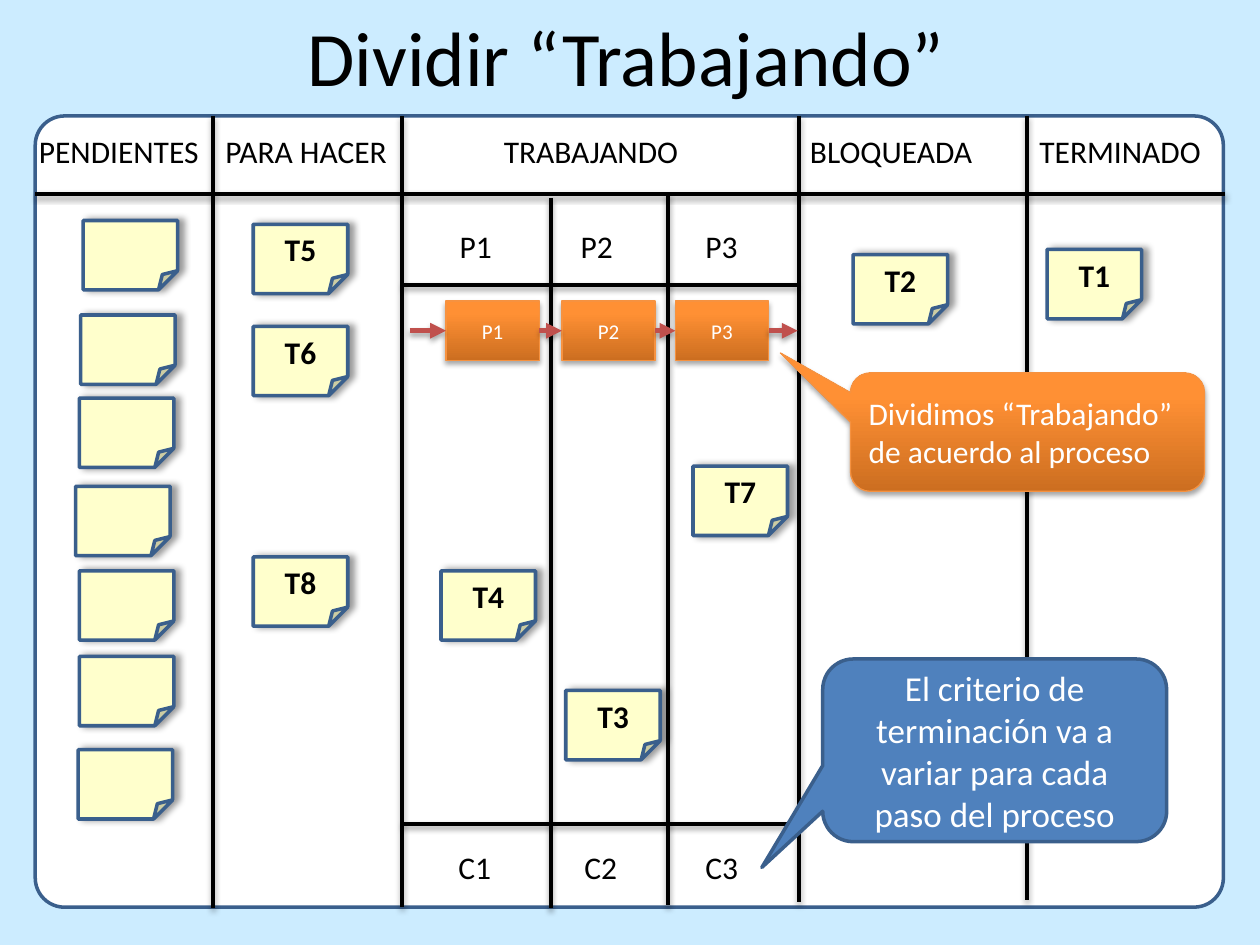
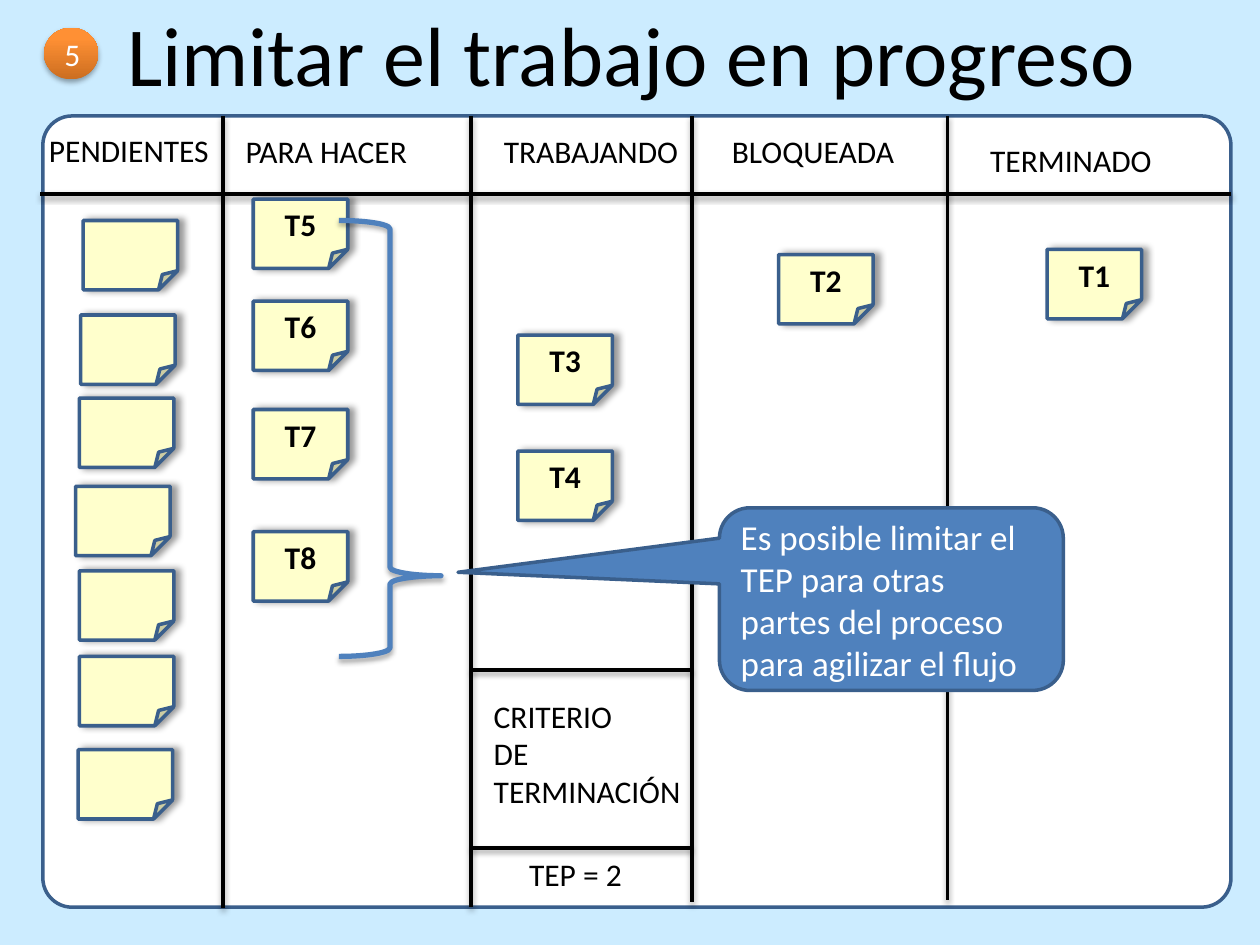
from copy import deepcopy
from dataclasses import dataclass, field
from typing import Any, Optional

from lxml import etree
from pptx import Presentation, util as u
from pptx.dml.color import RGBColor
from pptx.enum import shapes, text
from pptx.oxml.ns import qn

# Every position and length counts cells of this grid, which covers the slide.
COLS, ROWS = 100, 75
SLIDE_W, SLIDE_H = u.Inches(10), u.Inches(7.5)
SHAPE = shapes.MSO_SHAPE
LEFT, CENTER = text.PP_ALIGN.LEFT, text.PP_ALIGN.CENTER


@dataclass(frozen=True)
class Shadow:
    alpha: int
    blur: float
    dist: float
    angle: int


@dataclass(frozen=True)
class Theme:
    font: str = "Calibri"
    sky: str = "CCECFF"
    white: str = "FFFFFF"
    black: str = "000000"
    navy: str = "3A5F8C"
    blue: str = "4F81BD"
    red: str = "C0504D"
    paper: str = "FFFFCC"
    rim: str = "F69240"
    orange: tuple = ((0, "CC6E20"), (0.8, "FF9034"), (1, "FF9136"))
    small: int = 12
    body: int = 18
    speech: int = 20
    title: int = 44
    big_title: int = 48
    soft: Shadow = Shadow(35, 3.1, 1.8, 90)
    side: Shadow = Shadow(40, 4, 3, 0)


T = Theme()


@dataclass(frozen=True)
class Look:
    fill: Any = None
    line: Optional[str] = None
    width: float = 2
    shadow: Optional[Shadow] = None
    color: str = T.white
    size: int = T.body
    bold: bool = False


BOARD = Look(T.white, T.navy)
NOTE = Look(T.paper, T.navy, shadow=T.side, color=T.black, bold=True)
STEP = Look(T.orange, T.rim, 0.75, T.soft, size=T.small)
ORANGE_SPEECH = Look(T.orange, T.rim, 0.75, T.soft)
BLUE_SPEECH = Look(T.blue, T.navy, size=T.speech)
BRACE = Look(None, T.blue, 3, T.soft)
BADGE = Look(T.orange, shadow=T.soft)


@dataclass(frozen=True)
class Box:
    x: float
    y: float
    w: float
    h: float


@dataclass(frozen=True)
class Label:
    text: str
    box: Box
    size: int = T.body
    align: Any = LEFT
    wrap: bool = False


@dataclass(frozen=True)
class Note:
    x: float
    y: float
    text: str = ""


@dataclass(frozen=True)
class Line:
    x1: float
    y1: float
    x2: float
    y2: float


@dataclass(frozen=True)
class Callout:
    text: str
    box: Box
    tip: tuple
    look: Look
    align: Any = LEFT


@dataclass(frozen=True)
class Kanban:
    title: Label
    board_x: float
    lines: list
    labels: list
    notes: list
    callouts: list
    steps: list = field(default_factory=list)


def cx(cols: float) -> int:
    return round(SLIDE_W * cols / COLS)


def cy(rows: float) -> int:
    return round(SLIDE_H * rows / ROWS)


def place(b: Box) -> tuple:
    return cx(b.x), cy(b.y), cx(b.w), cy(b.h)


def rgb(color: str) -> RGBColor:
    return RGBColor.from_string(color)


def apply(obj: Any, values: dict) -> None:
    for name, value in values.items():
        setattr(obj, name, value)


def add_shadow(effects: Any, shadow: Shadow) -> None:
    outer = etree.SubElement(
        effects, qn("a:outerShdw"), blurRad=str(u.Pt(shadow.blur)),
        dist=str(u.Pt(shadow.dist)), dir=str(shadow.angle * 60000), rotWithShape="0")
    clr = etree.SubElement(outer, qn("a:srgbClr"), val=T.black)
    etree.SubElement(clr, qn("a:alpha"), val=str(shadow.alpha * 1000))


def adjust(sp: Any, values: tuple) -> None:
    """Write the shape's guides, also for presets without listed adjustments."""
    guides = sp._element.spPr.find(".//" + qn("a:avLst"))
    for old in list(guides):
        guides.remove(old)
    for i, value in enumerate(values, 1):
        name = "adj" if len(values) == 1 else f"adj{i}"
        etree.SubElement(guides, qn("a:gd"), name=name, fmla=f"val {round(value * 100000)}")


def paint(sp: Any, fill: Any) -> None:
    """Fill with nothing, one colour, or a gradient rising from the bottom."""
    if fill is None:
        sp.fill.background()
    elif isinstance(fill, str):
        sp.fill.solid()
        sp.fill.fore_color.rgb = rgb(fill)
    else:
        sp.fill.gradient()
        sp.fill.gradient_angle = 90
        stops = sp._element.spPr.find(".//" + qn("a:gsLst"))
        stops.append(deepcopy(stops[-1]))
        for stop, (position, color) in zip(sp.fill.gradient_stops, fill):
            stop.color.rgb = rgb(color)
            stop.position = position


def write(tf: Any, content: str, size: int, color: str, align: Any, bold: bool = False) -> None:
    for i, words in enumerate(content.split("\n")):
        p = tf.add_paragraph() if i else tf.paragraphs[0]
        p.alignment = align
        r = p.add_run()
        r.text = words
        apply(r.font, {"name": T.font, "size": u.Pt(size), "bold": bold})
        r.font.color.rgb = rgb(color)


def add_shape(s: Any, kind: Any, box: Box, look: Look, content: str = "",
              adj: tuple = (), align: Any = CENTER) -> None:
    sp = s.shapes.add_shape(kind, *place(box))
    if adj:
        adjust(sp, adj)
    paint(sp, look.fill)
    if look.line:
        sp.line.color.rgb = rgb(look.line)
        sp.line.width = u.Pt(look.width)
    else:
        sp.line.fill.background()
    sp.shadow.inherit = False
    if look.shadow:
        add_shadow(sp._element.spPr.find(qn("a:effectLst")), look.shadow)
    if content:
        apply(sp.text_frame, {"word_wrap": True, "vertical_anchor": text.MSO_ANCHOR.MIDDLE})
        write(sp.text_frame, content, look.size, look.color, align, look.bold)


def add_line(s: Any, ln: Line, color: str = T.black, width: float = 2.25,
             arrow: bool = False) -> None:
    c = s.shapes.add_connector(shapes.MSO_CONNECTOR.STRAIGHT,
                               cx(ln.x1), cy(ln.y1), cx(ln.x2), cy(ln.y2))
    c.line.color.rgb = rgb(color)
    c.line.width = u.Pt(width)
    spPr = c._element.spPr
    if arrow:
        etree.SubElement(spPr.find(qn("a:ln")), qn("a:tailEnd"), type="triangle")
    add_shadow(etree.SubElement(spPr, qn("a:effectLst")), T.soft)


def add_label(s: Any, lb: Label) -> None:
    tf = s.shapes.add_textbox(*place(lb.box)).text_frame
    apply(tf, {"word_wrap": lb.wrap, "auto_size": text.MSO_AUTO_SIZE.SHAPE_TO_FIT_TEXT})
    write(tf, lb.text, lb.size, T.black, lb.align)


def add_process(s: Any, xs: list) -> None:
    """Draw the chain of steps, with an arrow into and out of each one."""
    top, w, h = 23.9, 7.4, 4.7
    for i, x in enumerate(xs, 1):
        add_shape(s, SHAPE.RECTANGLE, Box(x, top, w, h), STEP, f"P{i}")
    middle = top + h / 2
    for start, end in zip([32.5] + [x + w for x in xs], xs + [63.3]):
        add_line(s, Line(start, middle, end, middle), T.red, 3, arrow=True)


def add_kanban(prs: Any, k: Kanban) -> Any:
    s = prs.slides.add_slide(prs.slide_layouts[6])
    s.background.fill.solid()
    s.background.fill.fore_color.rgb = rgb(T.sky)
    add_shape(s, SHAPE.ROUNDED_RECTANGLE, Box(k.board_x, TOP, 94.3, 62.8), BOARD, adj=(0.037,))
    for ln in k.lines:
        add_line(s, ln)
    for lb in [k.title] + k.labels:
        add_label(s, lb)
    for n in BACKLOG + k.notes:
        add_shape(s, SHAPE.FOLDED_CORNER, Box(n.x, n.y, 7.5, 5.5), NOTE, n.text, (0.275,))
    if k.steps:
        add_process(s, k.steps)
    for c in k.callouts:
        add_shape(s, SHAPE.ROUNDED_RECTANGULAR_CALLOUT, c.box, c.look, c.text,
                  c.tip + (0.167,), c.align)
    return s


TOP, HEAD = 9.2, 15.4
BOTTOMS = (72.1, 72, 71.6, 71.4)
BACKLOG = [Note(6.6, 17.5), Note(6.4, 25), Note(6.3, 31.6), Note(6, 38.6),
           Note(6.3, 45.3), Note(6.3, 52.1), Note(6.2, 59.5), Note(83.1, 19.8, "T1")]
HEADERS = (("PENDIENTES", 14.8), ("PARA HACER", 18.1), ("TRABAJANDO", 16),
           ("BLOQUEADA", 15), ("TERMINADO", 14.9))


def headers(*places: tuple) -> list:
    return [Label(name, Box(x, y, w, 4)) for (name, w), (x, y) in zip(HEADERS, places)]


def dividers(*xs: float) -> list:
    return [Line(x, TOP, x, bottom) for x, bottom in zip(xs, BOTTOMS)]


def row_labels(letter: str, y: float, *xs: float) -> list:
    return [Label(f"{letter}{i}", Box(x, y, 4.6, 4)) for i, x in enumerate(xs, 1)]


SPLIT = Kanban(
    title=Label("Dividir “Trabajando”", Box(6.4, 0.3, 86.6, 8.4), T.title, CENTER, True),
    board_x=2.8,
    lines=dividers(16.9, 31.9, 63.4, 81.5) + [
        Line(2.8, HEAD, 97.2, HEAD), Line(53, HEAD, 53, 71.8), Line(43.7, 15.7, 43.7, 72.1),
        *(Line(31.9, y, 63.3, y) for y in (22.6, 65.4))],
    labels=headers((2.1, 10), (16.9, 10), (39, 10), (63.3, 10), (81.5, 10))
    + row_labels("P", 17.5, 35.5, 45.1, 55) + row_labels("C", 66.8, 35.4, 45.4, 55),
    notes=[Note(67.7, 20.2, "T2"), Note(44.9, 54.8, "T3"), Note(35, 45.3, "T4"),
           Note(20.1, 17.8, "T5"), Note(20.1, 25.9, "T6"), Note(55, 37, "T7"),
           Note(20.1, 44.2, "T8")],
    callouts=[
        Callout("Dividimos “Trabajando” de acuerdo al proceso", Box(67.5, 29.6, 28.1, 9.4),
                (-0.698, -0.668), ORANGE_SPEECH),
        Callout("El criterio de terminación va a variar para cada paso del proceso",
                Box(65.3, 52.3, 27.3, 14.5), (-0.677, 0.641), BLUE_SPEECH, CENTER)],
    steps=[35.4, 44.6, 53.6])
LIMIT = Kanban(
    title=Label("Limitar el trabajo en progreso", Box(6.8, -0.3, 86.6, 9.1), T.big_title,
                CENTER, True),
    board_x=3.4,
    lines=dividers(17.7, 37.4, 54.9, 75.2) + [
        Line(3.2, HEAD, 97.7, HEAD), *(Line(37.4, y, 54.9, y) for y in (53.2, 67.3))],
    labels=headers((2.9, 9.9), (18.5, 10), (39, 10), (57.1, 10), (77.6, 10.7)) + [
        Label("CRITERIO\nDE\nTERMINACIÓN", Box(38.2, 54.8, 17, 10.1)),
        Label("TEP = 2", Box(41, 67.4, 9.5, 4))],
    notes=[Note(61.8, 20.2, "T2"), Note(41.1, 26.6, "T3"), Note(41.1, 35.8, "T4"),
           Note(20.1, 15.8, "T5"), Note(20.1, 23.9, "T6"), Note(20.1, 32.5, "T7"),
           Note(20.1, 42.2, "T8")],
    callouts=[
        Callout("Es posible limitar el TEP para otras partes del proceso para agilizar el flujo",
                Box(57.1, 40.3, 27.3, 14.5), (-1.26, -0.147), BLUE_SPEECH)])


def main() -> None:
    prs = Presentation()
    apply(prs, {"slide_width": SLIDE_W, "slide_height": SLIDE_H})
    add_kanban(prs, SPLIT)
    s = add_kanban(prs, LIMIT)
    add_shape(s, SHAPE.RIGHT_BRACE, Box(26.9, 17.5, 8.1, 34.6), BRACE, adj=(0.083, 0.815))
    add_shape(s, SHAPE.FLOWCHART_CONNECTOR, Box(3.5, 2.2, 4.3, 4.1), BADGE, "5")
    prs.save("out.pptx")


if __name__ == "__main__":
    main()
